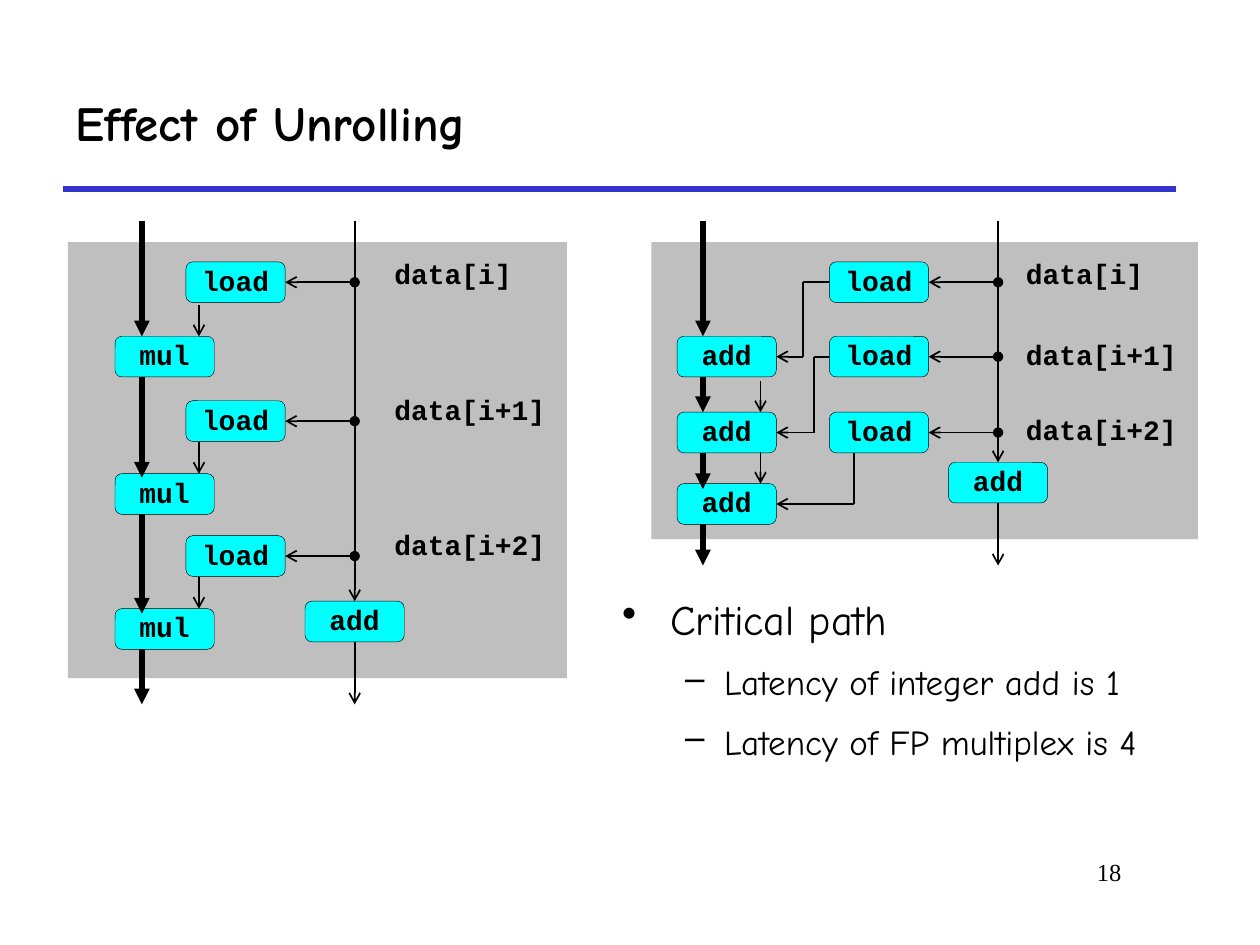
import dataclasses
import typing

import lxml.etree
import pptx
import pptx.dml.color
import pptx.enum.shapes
import pptx.enum.text
import pptx.oxml.ns
import pptx.util

Cm = pptx.util.Cm
Pt = pptx.util.Pt
ALIGN = pptx.enum.text.PP_ALIGN
ANCHOR = pptx.enum.text.MSO_ANCHOR
SHAPE = pptx.enum.shapes.MSO_SHAPE
TOP, LEFT, BOTTOM, RIGHT = range(4)


@dataclasses.dataclass(frozen=True)
class Theme:
    ink: str = "000000"
    rule: str = "3333CC"
    panel: str = "BFBFBF"
    operation: str = "00FFFF"
    prose: str = "Comic Neue"
    code: str = "Courier New"
    number: str = "Times New Roman"
    title_size: float = 28
    body_size: float = 24
    detail_size: float = 20
    code_size: float = 16
    number_size: float = 14
    outline: float = 0.25
    thin: float = 1
    thick: float = 3


@dataclasses.dataclass(frozen=True)
class Bullet:
    text: str
    level: int
    symbol: str
    size: float
    margin: float
    hanging: float
    before: float


@dataclasses.dataclass(frozen=True)
class Diagram:
    panel: tuple[float, float, float, float]
    load_left: float
    load_tops: tuple[float, ...]
    step_name: str
    step_left: float
    step_tops: tuple[float, ...]
    critical_x: float
    critical_ends: tuple[float, ...]
    handoff_x: float
    handoff_ends: tuple[float, ...]
    index_x: float
    index_top: float
    label_left: float
    label_tops: tuple[float, ...]
    bends: tuple[float, ...] = ()


THEME = Theme()
BOX_WIDTH, BOX_HEIGHT = 2.0, 0.82
FLOW_TOP = 4.45
HANDOFF_LENGTH = 0.63
LABELS = ("data[i]", "data[i+1]", "data[i+2]")

DIAGRAMS = (
    Diagram(
        panel=(1.37, 4.88, 10.06, 8.79),
        load_left=3.75, load_tops=(5.28, 8.08, 10.8),
        step_name="mul", step_left=2.32, step_tops=(6.78, 9.55, 12.27),
        critical_x=2.86, critical_ends=(6.78, 9.63, 12.37, 14.2),
        handoff_x=4.01, handoff_ends=(6.78, 9.55, 12.27),
        index_x=7.15, index_top=12.12,
        label_left=7.7, label_tops=(5.11, 7.87, 10.59),
    ),
    Diagram(
        panel=(13.13, 4.88, 11.02, 5.99),
        load_left=16.72, load_tops=(5.28, 6.78, 8.31),
        step_name="add", step_left=13.65, step_tops=(6.78, 8.31, 9.75),
        critical_x=14.17, critical_ends=(6.78, 8.31, 9.86, 11.4),
        handoff_x=15.33, handoff_ends=(8.31, 9.75),
        index_x=20.12, index_top=9.32,
        label_left=20.43, label_tops=(5.11, 6.76, 8.26),
        bends=(16.19, 16.41, 17.22),
    ),
)

BULLETS = (
    Bullet("Critical path", 0, "•", THEME.body_size, 0.97, 0.97, 0),
    Bullet("Latency of integer add is 1", 1, "–", THEME.detail_size, 2.06, 0.79, 5),
    Bullet("Latency of FP multiplex is 4", 1, "–", THEME.detail_size, 2.06, 0.79, 5),
)


def color(value: str) -> pptx.dml.color.RGBColor:
    return pptx.dml.color.RGBColor.from_string(value)


def child(parent: typing.Any, tag: str, **attributes: str) -> typing.Any:
    return lxml.etree.SubElement(parent, pptx.oxml.ns.qn(tag), attributes)


def write(para: typing.Any, text: str, *, font: str, size: float, bold: bool = False,
          align: typing.Any = ALIGN.LEFT, spacing: float = 0.9) -> None:
    para.alignment = align
    para.line_spacing = spacing
    span = para.add_run()
    span.text = text
    span.font.name = font
    span.font.size = Pt(size)
    span.font.bold = bold
    span.font.color.rgb = color(THEME.ink)


def set_frame(box: typing.Any, anchor: typing.Any = ANCHOR.TOP,
              side: float = 0.25, edge: float = 0.13) -> typing.Any:
    frame = box.text_frame
    frame.word_wrap = True
    frame.auto_size = pptx.enum.text.MSO_AUTO_SIZE.NONE
    frame.vertical_anchor = anchor
    frame.margin_left = frame.margin_right = Cm(side)
    frame.margin_top = frame.margin_bottom = Cm(edge)
    return frame


def add_text_box(page: typing.Any, left: float, top: float, width: float, height: float) -> typing.Any:
    return set_frame(page.shapes.add_textbox(Cm(left), Cm(top), Cm(width), Cm(height)))


def add_line(page: typing.Any, start: tuple[float, float], end: tuple[float, float], *,
             width: float = THEME.thin, ink: str = THEME.ink, head: str = "", tail: str = "",
             begin_at: typing.Any = None, end_at: typing.Any = None) -> None:
    line = page.shapes.add_connector(pptx.enum.shapes.MSO_CONNECTOR.STRAIGHT,
                                     *map(Cm, start + end))
    if begin_at:
        line.begin_connect(*begin_at)
    if end_at:
        line.end_connect(*end_at)
    line.line.color.rgb = color(ink)
    line.line.width = Pt(width)
    outline = line.line._get_or_add_ln()
    if head:
        child(outline, "a:headEnd", type=head)
    if tail:
        child(outline, "a:tailEnd", type=tail)
    child(line._element.spPr, "a:effectLst")


def add_panel(page: typing.Any, place: tuple[float, float, float, float]) -> None:
    panel = page.shapes.add_shape(SHAPE.RECTANGLE, *map(Cm, place))
    panel.shadow.inherit = False
    panel.fill.solid()
    panel.fill.fore_color.rgb = color(THEME.panel)
    panel.line.fill.background()


def add_operation(page: typing.Any, name: str, left: float, top: float) -> typing.Any:
    box = page.shapes.add_shape(SHAPE.ROUNDED_RECTANGLE, Cm(left), Cm(top),
                                Cm(BOX_WIDTH), Cm(BOX_HEIGHT))
    box.shadow.inherit = False
    box.fill.solid()
    box.fill.fore_color.rgb = color(THEME.operation)
    box.line.color.rgb = color(THEME.ink)
    box.line.width = Pt(THEME.outline)
    frame = set_frame(box, ANCHOR.MIDDLE, 0, 0)
    write(frame.paragraphs[0], name, font=THEME.code, size=THEME.code_size,
          bold=True, align=ALIGN.CENTER)
    return box


def draw_diagram(page: typing.Any, diagram: Diagram) -> None:
    add_panel(page, diagram.panel)
    loads = [add_operation(page, "load", diagram.load_left, top) for top in diagram.load_tops]
    steps = [add_operation(page, diagram.step_name, diagram.step_left, top)
             for top in diagram.step_tops]
    index_x, index_top = diagram.index_x, diagram.index_top
    index = add_operation(page, "add", index_x - BOX_WIDTH / 2, index_top)
    add_line(page, (index_x, FLOW_TOP), (index_x, index_top), tail="arrow", end_at=(index, TOP))
    add_line(page, (index_x, index_top + BOX_HEIGHT), (index_x, diagram.critical_ends[-1]),
             tail="arrow", begin_at=(index, BOTTOM))

    starts = (FLOW_TOP, *(top + BOX_HEIGHT for top in diagram.step_tops))
    for start, end in zip(starts, diagram.critical_ends):
        add_line(page, (diagram.critical_x, start), (diagram.critical_x, end),
                 width=THEME.thick, tail="triangle")
    for end in diagram.handoff_ends:
        add_line(page, (diagram.handoff_x, end - HANDOFF_LENGTH), (diagram.handoff_x, end),
                 tail="arrow")

    for load, top in zip(loads, diagram.load_tops):
        middle = top + BOX_HEIGHT / 2
        add_line(page, (index_x, middle), (diagram.load_left + BOX_WIDTH, middle),
                 head="oval", tail="arrow", end_at=(load, RIGHT))
    for label, top in zip(LABELS, diagram.label_tops):
        frame = add_text_box(page, diagram.label_left, top, 3.73, 0.86)
        write(frame.paragraphs[0], label, font=THEME.code, size=THEME.code_size, bold=True)

    for bend, load, load_top, step, step_top in zip(
            diagram.bends, loads, diagram.load_tops, steps, diagram.step_tops):
        leave, arrive = load_top + BOX_HEIGHT / 2, step_top + BOX_HEIGHT / 2
        if bend < diagram.load_left:
            add_line(page, (diagram.load_left, leave), (bend, leave), begin_at=(load, LEFT))
        else:
            leave = load_top + BOX_HEIGHT
        add_line(page, (bend, leave), (bend, arrive))
        add_line(page, (bend, arrive), (diagram.step_left + BOX_WIDTH, arrive),
                 tail="arrow", end_at=(step, RIGHT))


def add_bullet(para: typing.Any, bullet: Bullet) -> None:
    para.level = bullet.level
    para.space_before = Pt(bullet.before)
    properties = para._p.get_or_add_pPr()
    properties.set("marL", str(Cm(bullet.margin)))
    properties.set("indent", str(-Cm(bullet.hanging)))
    child(child(properties, "a:buClr"), "a:srgbClr", val=THEME.ink)
    child(properties, "a:buChar", char=bullet.symbol)
    write(para, bullet.text, font=THEME.prose, size=bullet.size, spacing=1.2)


def main() -> None:
    deck = pptx.Presentation()
    deck.slide_width, deck.slide_height = Cm(25.4), Cm(19.05)
    page = deck.slides.add_slide(deck.slide_layouts[5])
    add_line(page, (1.27, 3.81), (23.7, 3.81), width=THEME.thick, ink=THEME.rule)
    title = page.shapes.title
    title.left, title.top, title.width, title.height = map(Cm, (1.27, 1.27, 22.43, 2.54))
    write(set_frame(title, ANCHOR.MIDDLE).paragraphs[0], "Effect of Unrolling",
          font=THEME.prose, size=THEME.title_size, bold=True)
    number = add_text_box(page, 19.25, 17.15, 3.61, 1.27)
    write(number.paragraphs[0], "18", font=THEME.number, size=THEME.number_size,
          align=ALIGN.RIGHT, spacing=1.0)
    for diagram in DIAGRAMS:
        draw_diagram(page, diagram)
    body = add_text_box(page, 12.29, 11.63, 12.7, 4.57)
    for position, bullet in enumerate(BULLETS):
        add_bullet(body.add_paragraph() if position else body.paragraphs[0], bullet)
    deck.save("out.pptx")


if __name__ == "__main__":
    main()
